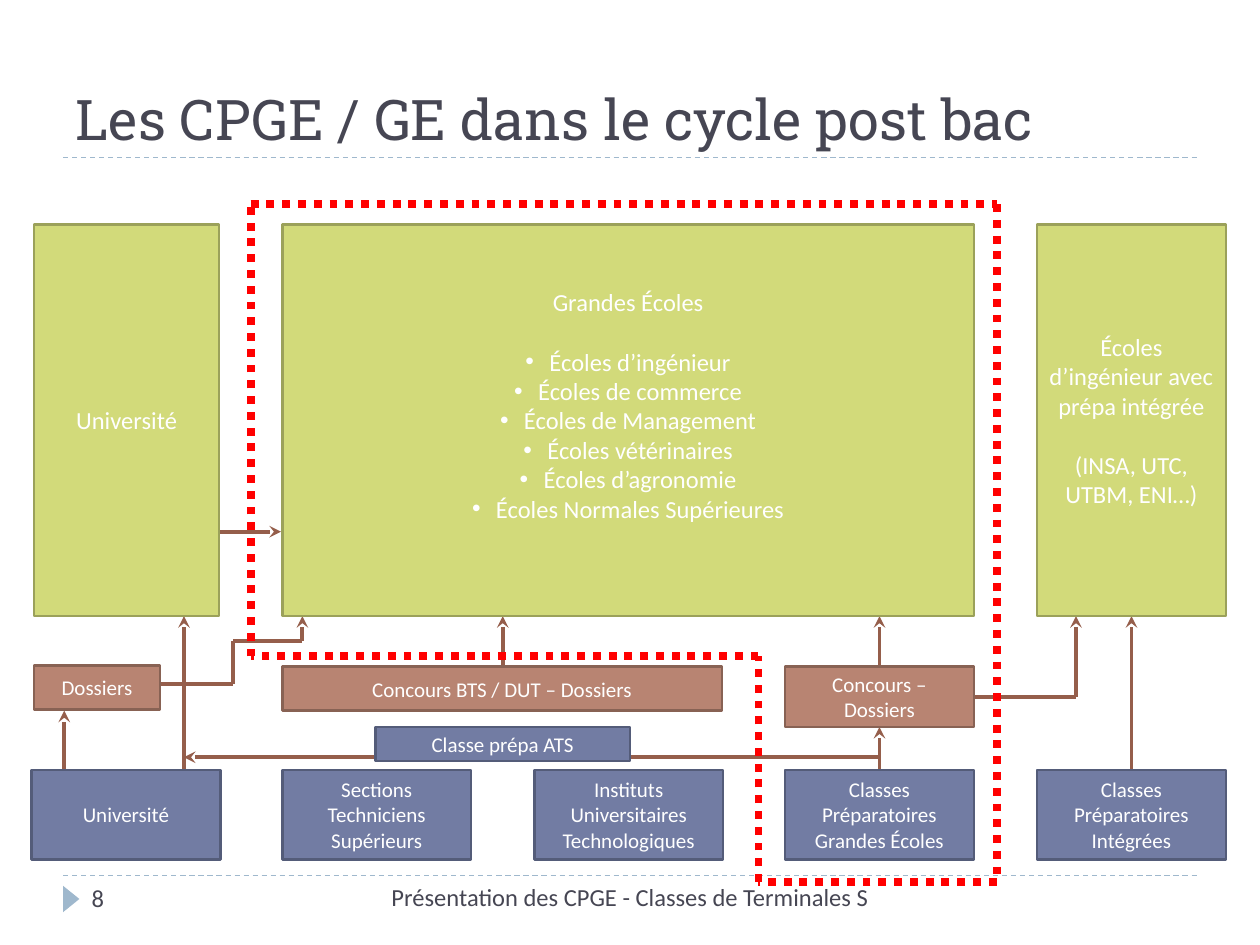
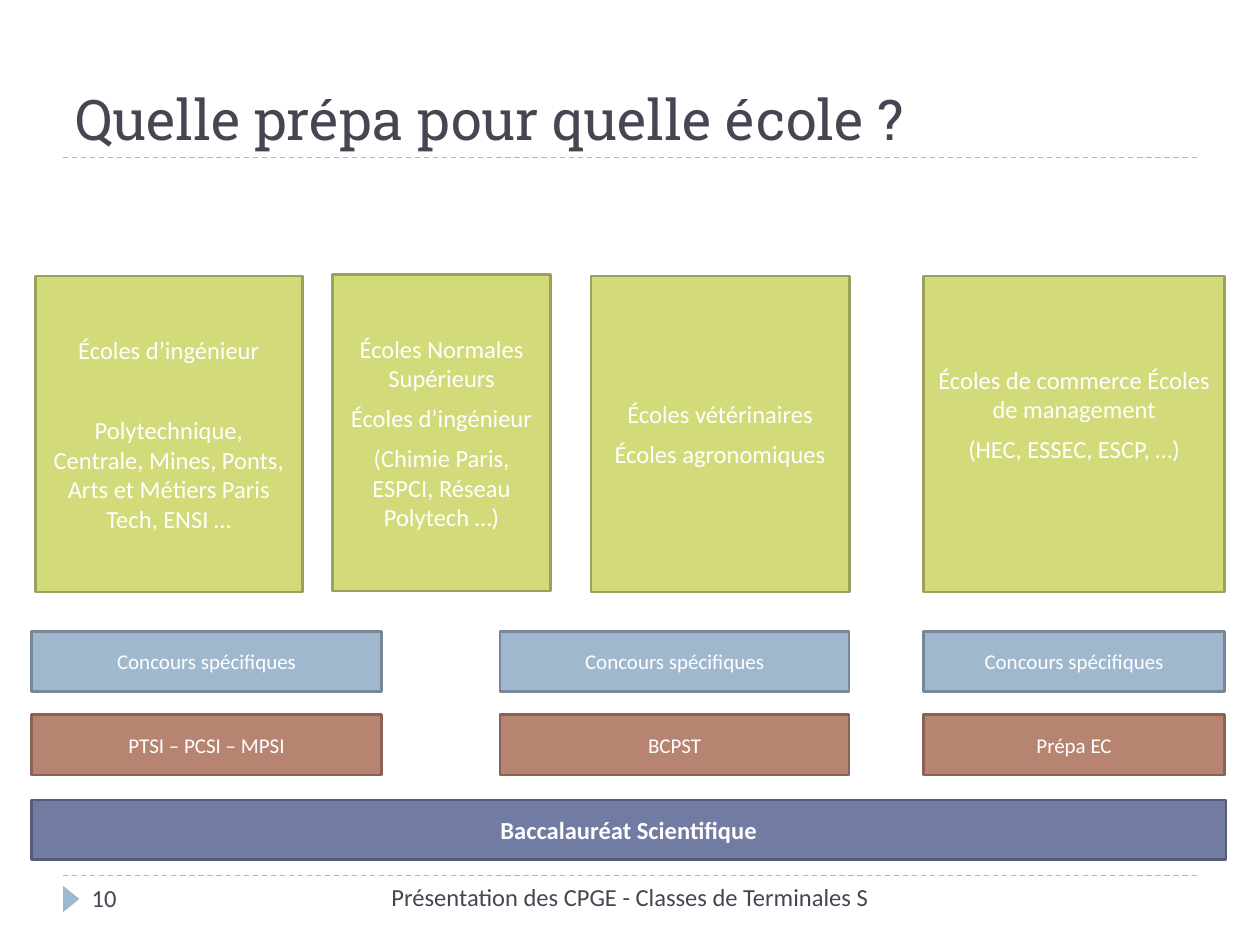
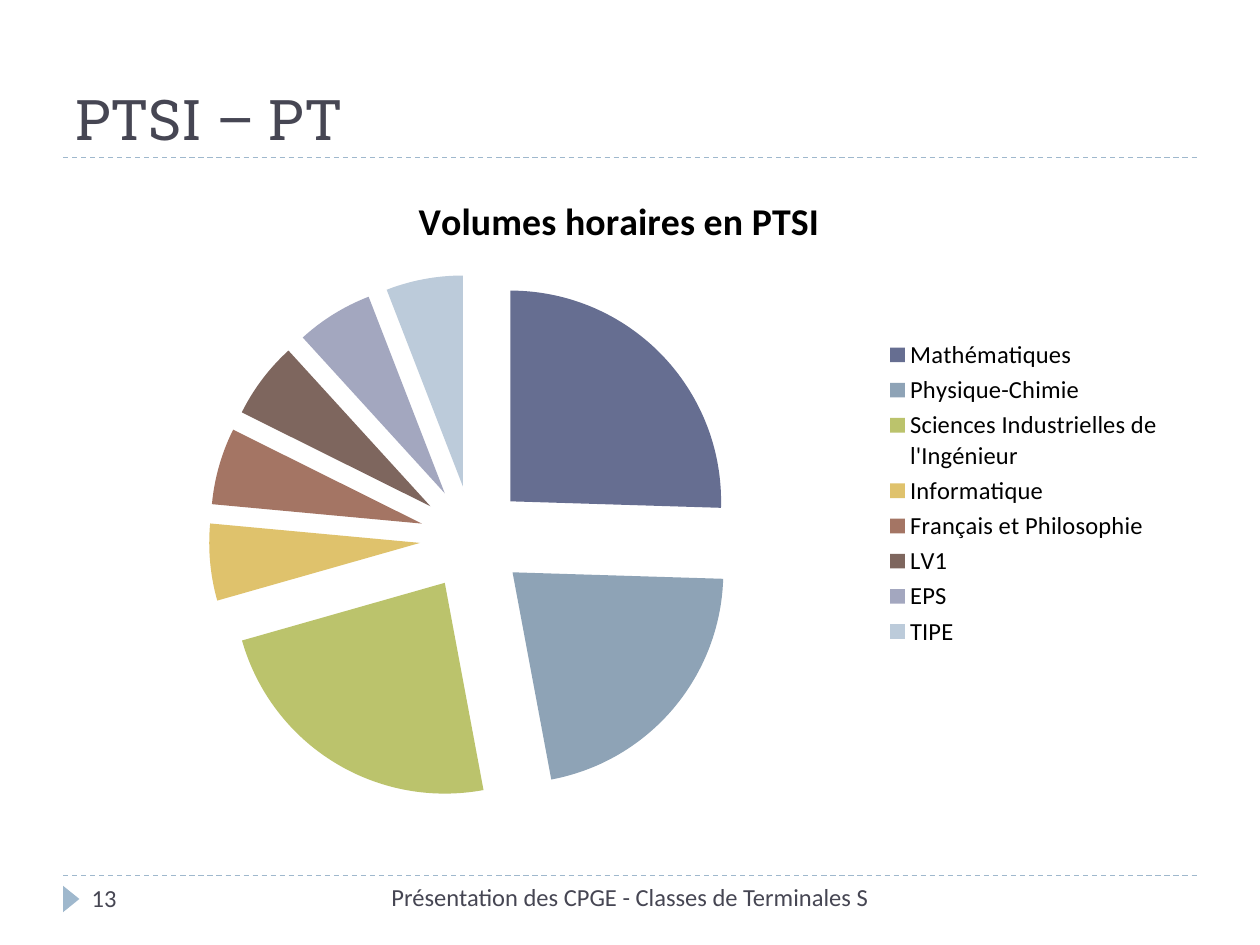
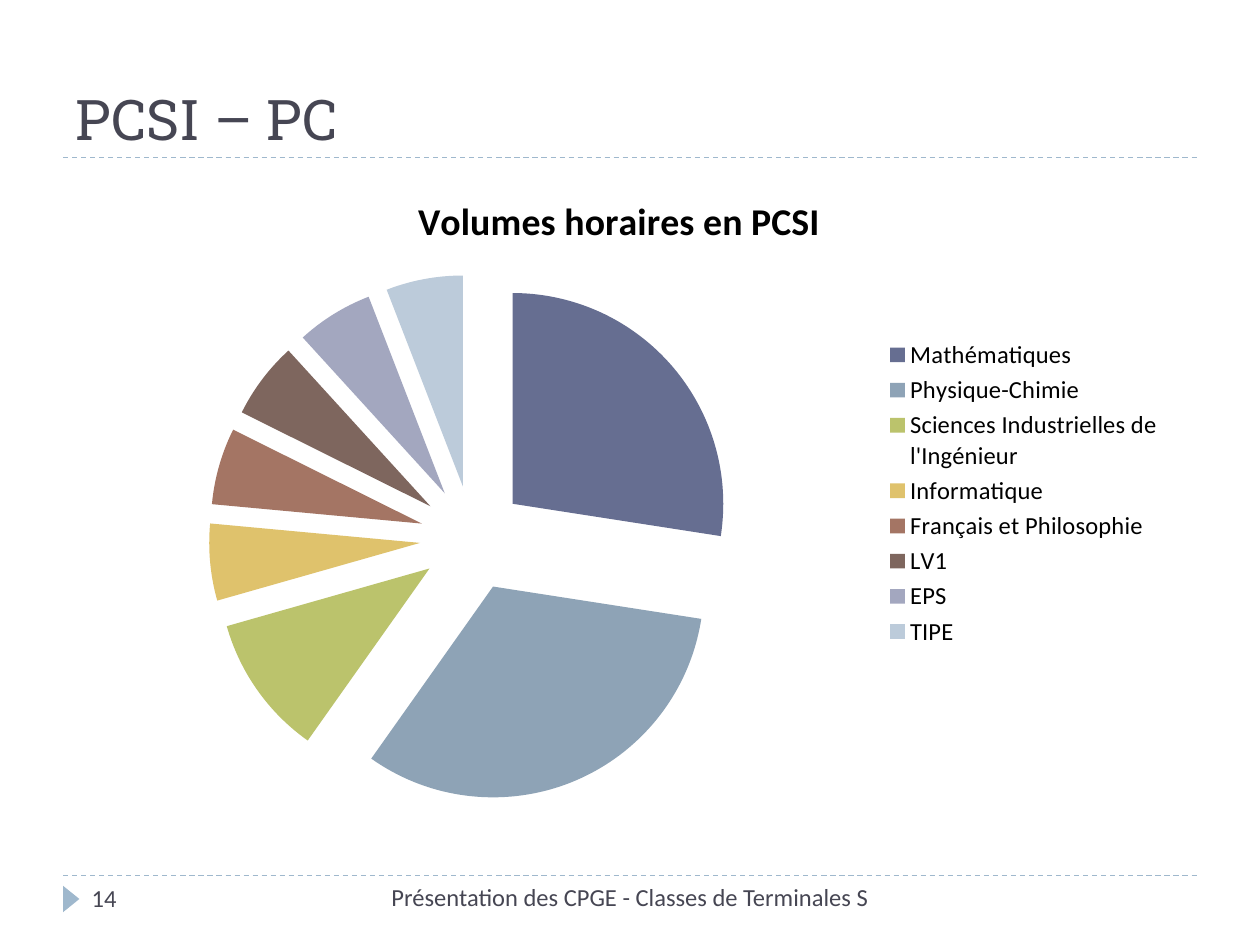
import itertools

import lxml.etree
import pptx
import pptx.chart.data
import pptx.dml.color
import pptx.enum.chart
import pptx.enum.dml
import pptx.enum.shapes
import pptx.enum.text
import pptx.oxml.ns
import pptx.util

Inches = pptx.util.Inches
Pt = pptx.util.Pt
RGB = pptx.dml.color.RGBColor
qn = pptx.oxml.ns.qn
DASH = pptx.enum.dml.MSO_LINE
SHAPE = pptx.enum.shapes.MSO_SHAPE
ALIGN = pptx.enum.text.PP_ALIGN
ANCHOR = pptx.enum.text.MSO_ANCHOR

INK = RGB(0x46, 0x46, 0x53)
WHITE = RGB(0xFF, 0xFF, 0xFF)
BLACK = RGB(0, 0, 0)
RED = RGB(0xFF, 0, 0)
BROWN = RGB(0x95, 0x5E, 0x4B)
SKY = RGB(0x9F, 0xB8, 0xCD)
# fill and outline of each kind of box
NAVY = RGB(0x72, 0x7C, 0xA3), RGB(0x54, 0x5C, 0x79)
CLAY = RGB(0xB8, 0x84, 0x72), RGB(0x88, 0x62, 0x54)
LIME = RGB(0xD2, 0xDA, 0x7A), RGB(0x9B, 0xA1, 0x5A)
BLUE = SKY, RGB(0x76, 0x88, 0x98)
SLICES = [RGB(0x66, 0x6E, 0x91), RGB(0x8E, 0xA3, 0xB6), RGB(0xBB, 0xC3, 0x6C),
          RGB(0xDF, 0xC2, 0x6C), RGB(0xA4, 0x75, 0x64), RGB(0x7E, 0x66, 0x5E),
          RGB(0xA3, 0xA7, 0xBF), RGB(0xBC, 0xCB, 0xDA)]

HEAD, BODY = "Roboto Slab", "Calibri"
LINE = 17  # height in points of one 14 pt line
FOOTER = "Présentation des CPGE - Classes de Terminales S"
BULLET = "• "

# An empty string in a list of lines stands for a gap of one line.
GRID = [0.25, 2.24, 4.24, 6.23, 8.23]
COL = 1.5
ENTRY = ["Université", "Sections Techniciens Supérieurs",
         "Instituts Universitaires Technologiques",
         "Classes Préparatoires Grandes Écoles",
         "Classes Préparatoires Intégrées"]
ACCESS = [
    ((0.27, 5.28, 1, 0.35), "Dossiers", CLAY),
    ((2.24, 5.29, 3.49, 0.35), "Concours BTS / DUT – Dossiers", CLAY),
    ((6.23, 5.29, COL, 0.48), "Concours – Dossiers", CLAY),
    ((2.98, 5.77, 2.02, 0.27), "Classe prépa ATS", NAVY),
]
GOALS = [
    (0.27, 1.47, ["Université"]),
    (2.24, 5.49, ["Grandes Écoles", "", "• Écoles d’ingénieur",
                  "• Écoles de commerce", "• Écoles de Management",
                  "• Écoles vétérinaires", "• Écoles d’agronomie",
                  "• Écoles Normales Supérieures", ""]),
    (8.23, COL, ["Écoles d’ingénieur avec prépa intégrée", "",
                 "(INSA, UTC, UTBM, ENI…)"]),
]
ROUTES = [
    [(0.51, 6.11), (0.51, 5.64)],
    [(1.46, 6.11), (1.46, 4.89)],
    [(6.98, 6.14), (6.98, 5.77)],
    [(6.98, 5.29), (6.98, 4.89)],
    [(8.98, 6.11), (8.98, 4.89)],
    [(3.99, 5.29), (3.99, 4.89)],
    [(1.74, 4.22), (2.23, 4.22)],
    [(6.98, 6.01), (1.46, 6.01)],
    [(7.73, 5.53), (8.54, 5.53), (8.54, 4.89)],
    [(1.27, 5.43), (1.85, 5.43), (1.85, 5.09), (2.4, 5.09), (2.4, 4.89)],
]
FRAME = [(1.99, 5.21), (1.99, 1.62), (7.91, 1.62), (7.91, 7), (6.02, 7),
         (6.02, 5.21), (1.99, 5.21)]

SCHOOLS = [
    (0.28, 2.19, 2.12, ["Écoles d’ingénieur", "",
                        "Polytechnique, Centrale, Mines, Ponts, "
                        "Arts et Métiers Paris Tech, ENSI …"]),
    (2.64, 2.18, 1.73, ["Écoles Normales Supérieurs", "Écoles d’ingénieur",
                        "(Chimie Paris, ESPCI, Réseau Polytech …)"]),
    (4.69, 2.19, 2.05, ["Écoles vétérinaires", "Écoles agronomiques"]),
    (7.33, 2.19, 2.39, ["Écoles de commerce Écoles de management",
                        "(HEC, ESSEC, ESCP, …)", ""]),
]
TRACKS = [(0.25, 2.78, "PTSI – PCSI – MPSI"), (3.97, 2.77, "BCPST"),
          (7.33, 2.39, "Prépa EC")]

TOPICS = ["Mathématiques", "Physique-Chimie",
          "Sciences Industrielles de l'Ingénieur", "Informatique",
          "Français et Philosophie", "LV1", "EPS", "TIPE"]
PIES = [
    ("PTSI – PT", 13, "Volumes horaires en PTSI", [26, 22, 24, 6, 6, 6, 6, 6]),
    ("PCSI – PC", 14, "Volumes horaires en PCSI", [28, 33, 11, 6, 6, 6, 6, 6]),
]


def place(box):
    return [Inches(v) for v in box]


def style(font, size, color, name=BODY, bold=False):
    font.size, font.name, font.bold = Pt(size), name, bold
    font.color.rgb = color


def label(slide, box, text, size, name=BODY, align=ALIGN.LEFT,
          anchor=ANCHOR.TOP):
    frame = slide.shapes.add_textbox(*place(box)).text_frame
    frame.word_wrap = True
    frame.vertical_anchor = anchor
    para = frame.paragraphs[0]
    para.text, para.alignment = text, align
    style(para.font, size, INK, name)


def trace(slide, points, color, width, dash=None, arrow=False):
    """Join the points with straight lines, with an arrowhead on the last."""
    for start, end in itertools.pairwise(points):
        line = slide.shapes.add_connector(
            pptx.enum.shapes.MSO_CONNECTOR.STRAIGHT, *place(start + end))
        line.line.color.rgb = color
        line.line.width = Pt(width)
        if dash:
            line.line.dash_style = dash
        props = line.element.spPr
        if arrow and end == points[-1]:
            lxml.etree.SubElement(props.find(qn("a:ln")), qn("a:tailEnd"),
                                  type="stealth")
        lxml.etree.SubElement(props, qn("a:effectLst"))


def bullet(para):
    props = para._p.get_or_add_pPr()
    props.set("marL", str(Inches(0.19)))
    props.set("indent", str(-Inches(0.19)))
    lxml.etree.SubElement(props, qn("a:buFont"), typeface="Arial")
    lxml.etree.SubElement(props, qn("a:buChar"), char=BULLET.strip())


def block(slide, box, lines, paint, size=12, space=0, bold=False):
    shape = slide.shapes.add_shape(SHAPE.RECTANGLE, *place(box))
    shape.shadow.inherit = False
    shape.fill.solid()
    shape.fill.fore_color.rgb, shape.line.color.rgb = paint
    shape.line.width = Pt(1.5)
    frame = shape.text_frame
    frame.word_wrap = True
    frame.vertical_anchor = ANCHOR.MIDDLE
    gap, para = 0, None
    for text in lines:
        if not text:
            gap += LINE + space
            continue
        para = frame.add_paragraph() if para else frame.paragraphs[0]
        para.text = text.removeprefix(BULLET)
        para.alignment = ALIGN.CENTER
        para.space_before = Pt(space + gap)
        if text.startswith(BULLET):
            bullet(para)
        style(para.font, size, WHITE, bold=bold)
        gap = 0
    frame.margin_bottom = Inches(0.05) + Pt(gap)


def page(deck, title, number):
    """Add a slide with the shared title, rules and footer."""
    slide = deck.slides.add_slide(deck.slide_layouts[6])
    for y in (1.25, 6.95):
        trace(slide, [(0.5, y), (9.5, y)], SKY, 0.75, DASH.DASH)
    mark = slide.shapes.add_shape(SHAPE.ISOSCELES_TRIANGLE,
                                  *place((0.46, 7.07, 0.21, 0.13)))
    mark.rotation = 90
    mark.shadow.inherit = False
    mark.fill.solid()
    mark.fill.fore_color.rgb = SKY
    mark.line.fill.background()
    label(slide, (0.5, 0.17, 9, 1.08), title, 32, HEAD, anchor=ANCHOR.BOTTOM)
    label(slide, (2.64, 6.95, 4.72, 0.4), FOOTER, 14, align=ALIGN.CENTER)
    label(slide, (0.63, 6.96, 2.17, 0.4), str(number), 14)
    return slide


def paths(deck):
    slide = page(deck, "Les CPGE / GE dans le cycle post bac", 8)
    for route in ROUTES:
        trace(slide, route, BROWN, 2.25, arrow=True)
    for x, text in zip(GRID, ENTRY):
        block(slide, (x, 6.11, COL, 0.71), [text], NAVY)
    for box, text, paint in ACCESS:
        block(slide, box, [text], paint)
    for x, width, lines in GOALS:
        block(slide, (x, 1.78, width, 3.11), lines, LIME, 14)
    trace(slide, FRAME, RED, 4.5, DASH.ROUND_DOT)


def choices(deck):
    slide = page(deck, "Quelle prépa pour quelle école ?", 10)
    for x, y, width, lines in SCHOOLS:
        block(slide, (x, y, width, 2.51), lines, LIME, 14, 6)
    for x, width, text in TRACKS:
        block(slide, (x, 5.01, width, 0.48), ["Concours spécifiques"], BLUE)
        block(slide, (x, 5.67, width, 0.48), [text], CLAY)
    block(slide, (0.25, 6.35, 9.48, 0.47), ["Baccalauréat Scientifique"],
          NAVY, 14, bold=True)


def hours(deck, title, number, head, values):
    slide = page(deck, title, number)
    data = pptx.chart.data.CategoryChartData()
    data.categories = TOPICS
    data.add_series("Series 1", values)
    chart = slide.shapes.add_chart(
        pptx.enum.chart.XL_CHART_TYPE.PIE,
        *place((0.5, 1.33, 8.83, 5.17)), data).chart
    style(chart.font, 18, BLACK)
    chart.has_title = True
    chart.chart_title.include_in_layout = False
    para = chart.chart_title.text_frame.paragraphs[0]
    para.text = head
    style(para.font, 21.6, BLACK, bold=True)
    chart.has_legend = True
    chart.legend.position = pptx.enum.chart.XL_LEGEND_POSITION.RIGHT
    chart.legend.include_in_layout = False
    style(chart.legend.font, 14, BLACK)
    chart.plots[0].vary_by_categories = True
    series = chart.plots[0].series[0]
    for i, color in enumerate(SLICES):
        fill = series.points[i].format.fill
        fill.solid()
        fill.fore_color.rgb = color
    node = lxml.etree.Element(qn("c:explosion"), val="25")
    series._element.find(qn("c:tx")).addnext(node)


def main():
    deck = pptx.Presentation()
    deck.slide_width, deck.slide_height = Inches(10), Inches(7.5)
    paths(deck)
    choices(deck)
    for pie in PIES:
        hours(deck, *pie)
    deck.save("out.pptx")


if __name__ == "__main__":
    main()
